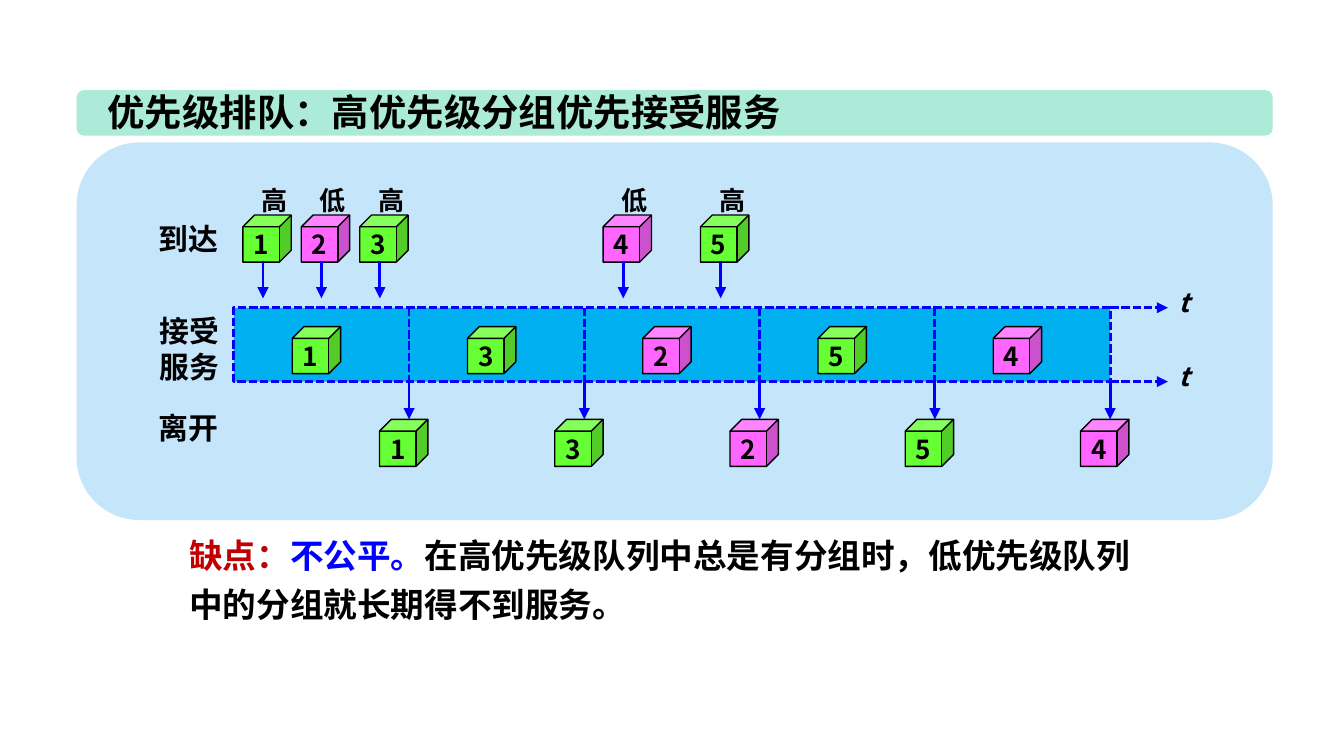
from dataclasses import dataclass
from typing import Optional

import pptx
import pptx.dml.color
import pptx.enum.dml
import pptx.enum.shapes
import pptx.enum.text
import pptx.oxml.ns
import pptx.util
from lxml import etree

RGB = pptx.dml.color.RGBColor
BLACK = RGB(0x00, 0x00, 0x00)
BLUE = RGB(0x00, 0x00, 0xFF)
RED = RGB(0xC0, 0x00, 0x00)
MINT = RGB(0xAB, 0xEB, 0xD7)
PALE_BLUE = RGB(0xC5, 0xE5, 0xFB)
SERVICE_BLUE = RGB(0x00, 0xB0, 0xF0)
GREEN = RGB(0x66, 0xFF, 0x33)
PINK = RGB(0xFF, 0x66, 0xFF)

FONT = "Noto Sans CJK SC"
SHAPES = pptx.enum.shapes.MSO_SHAPE
ANCHOR = pptx.enum.text.MSO_ANCHOR
ALIGN = pptx.enum.text.PP_ALIGN
AUTO_SIZE = pptx.enum.text.MSO_AUTO_SIZE

SLIDE_WIDTH = 10
SLIDE_HEIGHT = SLIDE_WIDTH * 9 / 16

# The service band is a row of equal slots; times are counted in slots.
BAND_LEFT, BAND_TOP, BAND_HEIGHT = 1.74, 2.29, 0.55
BAND_BOTTOM = BAND_TOP + BAND_HEIGHT
BAND_WIDTH = 6.52
SERVICE_ORDER = (1, 3, 2, 5, 4)
SLOT = BAND_WIDTH / len(SERVICE_ORDER)
BAND_RIGHT = BAND_LEFT + BAND_WIDTH

CUBE_WIDTH, CUBE_HEIGHT = 0.36, 0.35
ARRIVAL_TOP, SERVICE_TOP, DEPARTURE_TOP = 1.6, 2.43, 3.12
ARRIVAL_ARROW_TOP, ARROW_LENGTH = 1.94, 0.28
PANEL_LEFT, PANEL_WIDTH = 0.57, 8.9


@dataclass(frozen=True)
class Packet:
    number: int
    arrival: float
    high: bool

    @property
    def color(self) -> RGB:
        return GREEN if self.high else PINK

    @property
    def priority(self) -> str:
        return "高" if self.high else "低"


@dataclass(frozen=True)
class Label:
    text: str
    left: float
    top: float
    width: float
    height: float
    size: int = 16
    italic: bool = False


PACKETS = {
    packet.number: packet
    for packet in (
        Packet(1, 1 / 6, True),
        Packet(2, 3 / 6, False),
        Packet(3, 5 / 6, True),
        Packet(4, 20 / 9, False),
        Packet(5, 25 / 9, True),
    )
}
ROW_LABELS = (
    Label("到达", 1.08, 1.59, 0.65, 0.37),
    Label("接受\n服务", 1.09, 2.28, 0.65, 0.64),
    Label("离开", 1.08, 3, 0.65, 0.37),
)


def time_x(slots: float) -> float:
    return BAND_LEFT + slots * SLOT


def inches(*lengths: float) -> list:
    return [pptx.util.Inches(length) for length in lengths]


def write(frame, *runs: tuple, size: int, spacing: Optional[float] = None,
          italic: bool = False, wrap: bool = False, align=ALIGN.LEFT,
          anchor=ANCHOR.TOP, auto_size=AUTO_SIZE.SHAPE_TO_FIT_TEXT) -> None:
    """Write (text, colour) runs; a newline in a run starts a paragraph."""
    frame.word_wrap = wrap
    frame.auto_size = auto_size
    frame.vertical_anchor = anchor
    paragraph = frame.paragraphs[0]
    for text, color in runs:
        for index, line in enumerate(text.split("\n")):
            if index:
                paragraph = frame.add_paragraph()
            paragraph.alignment = align
            paragraph.line_spacing = pptx.util.Pt(spacing or 1.2 * size)
            run = paragraph.add_run()
            run.text = line
            font = run.font
            font.name, font.size = FONT, pptx.util.Pt(size)
            font.bold, font.italic = True, italic
            font.color.rgb = color
            east_asian = etree.SubElement(
                run._r.get_or_add_rPr(), pptx.oxml.ns.qn("a:ea"))
            east_asian.set("typeface", FONT)


def add_block(slide, kind, left: float, top: float, width: float,
              height: float, fill: RGB, line: Optional[RGB] = None,
              line_width: float = 0.75):
    block = slide.shapes.add_shape(kind, *inches(left, top, width, height))
    block.shadow.inherit = False
    block.fill.solid()
    block.fill.fore_color.rgb = fill
    if line is None:
        block.line.fill.background()
    else:
        block.line.color.rgb = line
        block.line.width = pptx.util.Pt(line_width)
    return block


def add_label(slide, label: Label) -> None:
    box = slide.shapes.add_textbox(
        *inches(label.left, label.top, label.width, label.height))
    write(box.text_frame, (label.text, BLACK), size=label.size,
          italic=label.italic)


def add_cube(slide, packet: Packet, left: float, top: float) -> None:
    cube = add_block(slide, SHAPES.CUBE, left, top, CUBE_WIDTH, CUBE_HEIGHT,
                     packet.color, BLACK)
    write(cube.text_frame, (str(packet.number), BLACK), size=14,
          align=ALIGN.CENTER, anchor=ANCHOR.MIDDLE, auto_size=AUTO_SIZE.NONE)


def add_line(slide, x1: float, y1: float, x2: float, y2: float,
             dashed: bool = False, arrow: bool = False) -> None:
    connector = slide.shapes.add_connector(
        pptx.enum.shapes.MSO_CONNECTOR.STRAIGHT, *inches(x1, y1, x2, y2))
    connector.line.color.rgb = BLUE
    connector.line.width = pptx.util.Pt(1.5)
    if dashed:
        connector.line.dash_style = pptx.enum.dml.MSO_LINE.SQUARE_DOT
    if arrow:
        tail = etree.SubElement(connector.line._get_or_add_ln(),
                                pptx.oxml.ns.qn("a:tailEnd"))
        tail.set("type", "triangle")
    etree.SubElement(connector._element.spPr, pptx.oxml.ns.qn("a:effectLst"))


def add_title(slide) -> None:
    bar = add_block(slide, SHAPES.ROUNDED_RECTANGLE, PANEL_LEFT, 0.67,
                    PANEL_WIDTH, 0.34, MINT)
    title = slide.shapes.title
    bar._element.addnext(title._element)
    title.left, title.top, title.width, title.height = inches(
        0.7, 0.61, 5.25, 0.44)
    write(title.text_frame, ("优先级排队：高优先级分组优先接受服务", BLACK), size=20)


def add_arrivals(slide) -> None:
    for packet in PACKETS.values():
        x = time_x(packet.arrival)
        add_cube(slide, packet, x - 0.15, ARRIVAL_TOP)
        add_line(slide, x, ARRIVAL_ARROW_TOP, x,
                 ARRIVAL_ARROW_TOP + ARROW_LENGTH, arrow=True)
        add_label(slide, Label(packet.priority, x - 0.11, 1.32, 0.4, 0.34, 14))


def add_service(slide) -> None:
    band = add_block(slide, SHAPES.RECTANGLE, BAND_LEFT, BAND_TOP, BAND_WIDTH,
                     BAND_HEIGHT, SERVICE_BLUE, BLUE, 1.5)
    band.line.dash_style = pptx.enum.dml.MSO_LINE.SQUARE_DOT
    for slot, number in enumerate(SERVICE_ORDER):
        packet, end = PACKETS[number], time_x(slot + 1)
        add_cube(slide, packet, time_x(slot + 1 / 3), SERVICE_TOP)
        if slot < len(SERVICE_ORDER) - 1:
            add_line(slide, end, BAND_TOP, end, BAND_BOTTOM, dashed=True)
        add_line(slide, end, BAND_BOTTOM, end, DEPARTURE_TOP, arrow=True)
        add_cube(slide, packet, end - 0.22, DEPARTURE_TOP)
    for y in (BAND_TOP, BAND_BOTTOM):
        add_line(slide, BAND_RIGHT, y, 8.69, y, dashed=True, arrow=True)
        add_label(slide, Label("t", 8.67, y - 0.21, 0.28, 0.34, 14, True))


def add_drawback(slide) -> None:
    box = slide.shapes.add_textbox(*inches(1.31, 3.87, 7.41, 0.83))
    write(box.text_frame, ("缺点：", RED), ("不公平。", BLUE),
          ("在高优先级队列中总是有分组时，低优先级队列中的分组就长期得不到服务。", BLACK),
          size=18, spacing=26, wrap=True)


def main() -> None:
    deck = pptx.Presentation()
    deck.slide_width, deck.slide_height = inches(SLIDE_WIDTH, SLIDE_HEIGHT)
    slide = deck.slides.add_slide(deck.slide_layouts.get_by_name("Title Only"))
    add_title(slide)
    add_block(slide, SHAPES.ROUNDED_RECTANGLE, PANEL_LEFT, 1.06, PANEL_WIDTH,
              2.81, PALE_BLUE)
    add_drawback(slide)
    for label in ROW_LABELS:
        add_label(slide, label)
    add_arrivals(slide)
    add_service(slide)
    deck.save("out.pptx")


if __name__ == "__main__":
    main()
